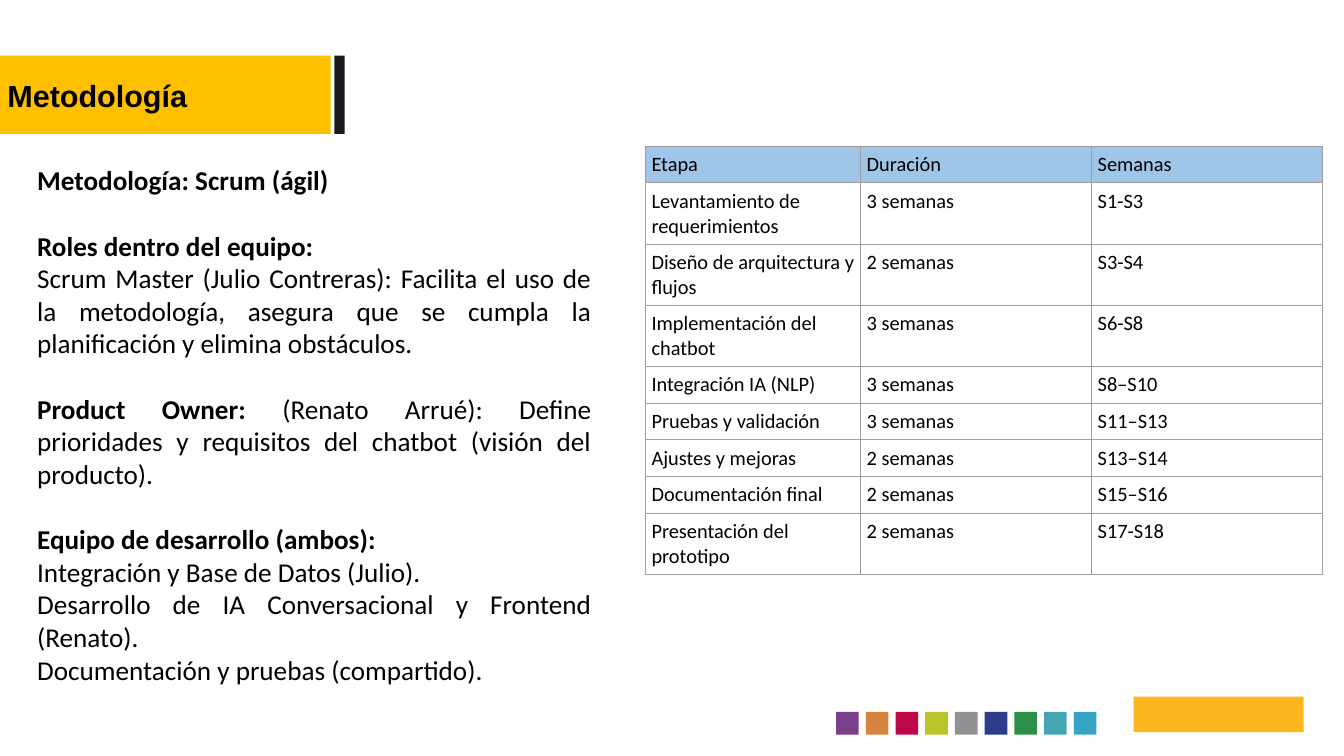
from pptx import Presentation
from pptx.dml.color import RGBColor as Rgb
from pptx.enum.shapes import MSO_SHAPE as Kind
from pptx.enum.text import MSO_AUTO_SIZE as Fit, PP_ALIGN as Align
from pptx.oxml import parse_xml
from pptx.oxml.ns import nsdecls
from pptx.util import Inches, Pt

COLORS = {"gold": "FFC000", "dark": "1A1A1A", "logo": "FEB620", "text": "000000",
          "head": "9FC5E8", "grid": "9E9E9E"}
SQUARES = ["7B408A", "D6843D", "BD0949", "BAC52E", "929292",
           "2C3E8B", "2C9146", "44A6B5", "35A4C5"]
BLANK = 6
GAP = 38.5  # points between blocks of body text

# Each block is a list of paragraphs, each paragraph a list of (text, bold)
BLOCKS = [
    [[("Metodología: Scrum (ágil)", True)]],
    [[("Roles dentro del equipo:", True)],
     [("Scrum Master (Julio Contreras): Facilita el uso de la metodología, "
       "asegura que se cumpla la planificación y elimina obstáculos.", False)]],
    [[("Product Owner:", True),
      (" (Renato Arrué): Define prioridades y requisitos del chatbot "
       "(visión del producto).", False)]],
    [[("Equipo de desarrollo (ambos):", True)],
     [("Integración y Base de Datos (Julio).", False)],
     [("Desarrollo de IA Conversacional y Frontend (Renato).", False)],
     [("Documentación y pruebas (compartido).", False)]],
]
PLAN = [
    ("Etapa", "Duración", "Semanas"),
    ("Levantamiento de requerimientos", "3 semanas", "S1-S3"),
    ("Diseño de arquitectura y flujos", "2 semanas", "S3-S4"),
    ("Implementación del chatbot", "3 semanas", "S6-S8"),
    ("Integración IA (NLP)", "3 semanas", "S8–S10"),
    ("Pruebas y validación", "3 semanas", "S11–S13"),
    ("Ajustes y mejoras", "2 semanas", "S13–S14"),
    ("Documentación final", "2 semanas", "S15–S16"),
    ("Presentación del prototipo", "2 semanas", "S17-S18"),
]
WIDTHS = [3.52, 3.78, 3.78]
HEIGHTS = [0.6, 1, 1, 1, 0.6, 0.6, 0.6, 0.6, 1]


class Deck:
    """Style and current slide."""
    font = "Calibri"

    def __init__(self, slide):
        self.slide = slide

    def rect(self, x, y, w, h, color):
        box = self.slide.shapes.add_shape(Kind.RECTANGLE, *map(Inches, (x, y, w, h)))
        box.shadow.inherit = False
        box.fill.solid()
        box.fill.fore_color.rgb = Rgb.from_string(color)
        box.line.fill.background()

    def run(self, para, text, size, bold=False, font=None):
        run = para.add_run()
        run.text = text
        run.font.name = font or self.font
        run.font.size = Pt(size)
        run.font.bold = bold
        run.font.color.rgb = Rgb.from_string(COLORS["text"])

    def text(self, x, y, w, h, blocks, size, font=None, align=Align.LEFT, pad=(0, 0)):
        """Set blocks of paragraphs, with a gap above every block but the first."""
        frame = self.slide.shapes.add_textbox(*map(Inches, (x, y, w, h))).text_frame
        frame.word_wrap = True
        frame.auto_size = Fit.SHAPE_TO_FIT_TEXT
        frame.margin_left = frame.margin_right = Inches(pad[0])
        frame.margin_top = frame.margin_bottom = Inches(pad[1])
        para = frame.paragraphs[0]
        for b, block in enumerate(blocks):
            for p, runs in enumerate(block):
                if b or p:
                    para = frame.add_paragraph()
                para.alignment = align
                para.space_before = Pt(GAP if b and not p else 0)
                for words, bold in runs:
                    self.run(para, words, size, bold, font)

    def border(self, cell):
        props = cell._tc.get_or_add_tcPr()
        for side in "LRTB":
            props.append(parse_xml(
                f'<a:ln{side} {nsdecls("a")} w="{Pt(0.75)}"><a:solidFill>'
                f'<a:srgbClr val="{COLORS["grid"]}"/></a:solidFill></a:ln{side}>'))

    def table(self, x, y, rows, widths, heights, size):
        area = map(Inches, (x, y, sum(widths), sum(heights)))
        grid = self.slide.shapes.add_table(len(rows), len(widths), *area).table
        grid.first_row = grid.horz_banding = False
        for col, width in zip(grid.columns, widths):
            col.width = Inches(width)
        for r, row in enumerate(rows):
            grid.rows[r].height = Inches(heights[r])
            for c, words in enumerate(row):
                cell = grid.cell(r, c)
                cell.margin_left = cell.margin_right = Inches(0.1)
                cell.margin_top = cell.margin_bottom = Inches(0.1)
                self.border(cell)
                if r:
                    cell.fill.background()
                else:
                    cell.fill.solid()
                    cell.fill.fore_color.rgb = Rgb.from_string(COLORS["head"])
                self.run(cell.text_frame.paragraphs[0], words, size)


def main():
    prs = Presentation()
    prs.slide_width, prs.slide_height = Inches(21.99), Inches(12.37)
    deck = Deck(prs.slides.add_slide(prs.slide_layouts[BLANK]))

    deck.rect(0, 0.91, 5.41, 1.28, COLORS["gold"])
    deck.rect(5.47, 0.91, 0.17, 1.28, COLORS["dark"])
    deck.rect(18.55, 11.4, 2.78, 0.58, COLORS["logo"])
    step = (17.57 - 13.68) / (len(SQUARES) - 1)
    for i, color in enumerate(SQUARES):
        deck.rect(13.68 + i * step, 11.65, 0.37, 0.37, color)

    deck.text(0.12, 1.26, 5.32, 0.61, [[[("Metodología", True)]]], 36, font="Arial")
    deck.text(0.51, 2.63, 9.27, 8.72, BLOCKS, 32, align=Align.JUSTIFY, pad=(0.1, 0.05))
    deck.table(10.56, 2.39, PLAN, WIDTHS, HEIGHTS, 24)
    prs.save("out.pptx")


if __name__ == "__main__":
    main()
